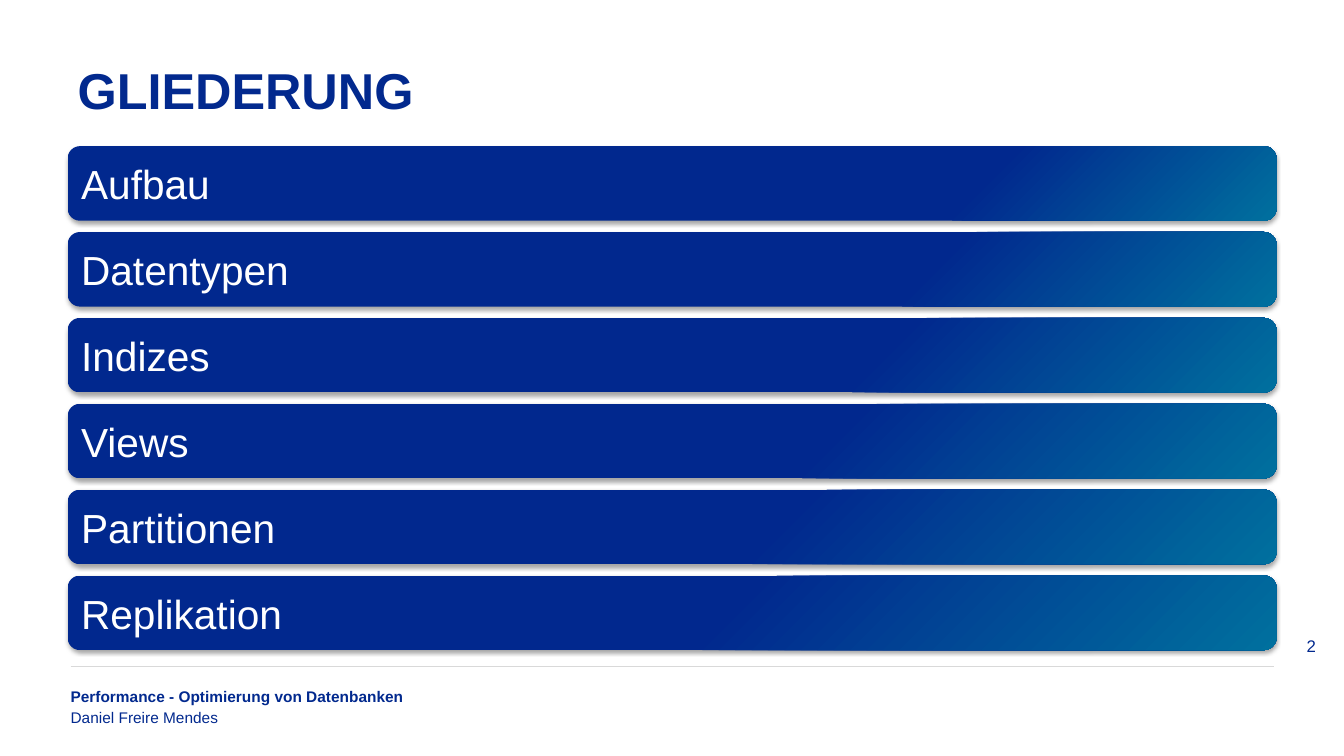
from pptx import Presentation, util as u
from pptx.dml.color import RGBColor
from pptx.enum import shapes, text
from pptx.oxml import ns, parse_xml

NAVY, BAR_NAVY, TEAL, WHITE, GREY = "02298E", "01288E", "00709E", "FFFFFF", "D9D9D9"
TOPICS = ["Aufbau", "Datentypen", "Indizes", "Views", "Partitionen", "Replikation"]


def rgb(value):
    return RGBColor.from_string(value)


def write(tf, words, size=11, color=NAVY, bold=False, align=text.PP_ALIGN.LEFT,
          anchor=text.MSO_ANCHOR.TOP, inset=None, spacing=None):
    """Put one formatted paragraph into a text frame."""
    tf.word_wrap = True
    tf.auto_size = text.MSO_AUTO_SIZE.NONE
    tf.vertical_anchor = anchor
    if inset is not None:
        tf.margin_left = tf.margin_right = u.Inches(inset)
        tf.margin_top = tf.margin_bottom = u.Inches(inset)
    p = tf.paragraphs[0]
    p.alignment = align
    if spacing:
        p.line_spacing = spacing
    r = p.add_run()
    r.text = words
    r.font.name = "Arial"
    r.font.size = u.Pt(size)
    r.font.bold = bold
    r.font.color.rgb = rgb(color)


def drawing(tag, attrs, inner=""):
    return parse_xml(f"<a:{tag} {ns.nsdecls('a')} {attrs}>{inner}</a:{tag}>")


class Deck:
    def __init__(self):
        self.prs = Presentation()
        self.prs.slide_width = u.Inches(13.33)
        self.prs.slide_height = u.Inches(7.5)
        self.s = self.prs.slides.add_slide(self.prs.slide_layouts[5])

    def title(self, words, x, y, w, h):
        sp = self.s.shapes.title
        sp.left, sp.top, sp.width, sp.height = map(u.Inches, (x, y, w, h))
        write(sp.text_frame, words, size=36, bold=True, spacing=0.9,
              anchor=text.MSO_ANCHOR.MIDDLE)

    def label(self, words, x, y, w, h, **style):
        sp = self.s.shapes.add_textbox(*map(u.Inches, (x, y, w, h)))
        write(sp.text_frame, words, **style)

    def rule(self, x1, y1, x2, y2):
        line = self.s.shapes.add_connector(
            shapes.MSO_CONNECTOR.STRAIGHT, *map(u.Inches, (x1, y1, x2, y2)))
        line.line.color.rgb = rgb(GREY)
        line.line.width = u.Pt(0.25)
        line._element.spPr.append(drawing("effectLst", ""))

    def bar(self, words, x, y, w, h, navy_from):
        sp = self.s.shapes.add_shape(
            shapes.MSO_SHAPE.ROUNDED_RECTANGLE, *map(u.Inches, (x, y, w, h)))
        sp.line.fill.background()
        # Radial gradient spreading from the bottom right corner
        sp.fill.gradient()
        for stop, color, position in zip(sp.fill.gradient_stops, (TEAL, BAR_NAVY), (0, navy_from)):
            stop.color.rgb = rgb(color)
            stop.position = position
        spPr = sp._element.spPr
        lin = spPr.find(".//" + ns.qn("a:lin"))
        lin.getparent().replace(lin, drawing(
            "path", 'path="circle"', '<a:fillToRect l="100000" t="100000"/>'))
        # Soft shadow below the bar
        sp.shadow.inherit = False
        spPr.find(ns.qn("a:effectLst")).append(drawing(
            "outerShdw",
            f'blurRad="{u.Pt(3.1)}" dist="{u.Pt(1.8)}" dir="5400000" rotWithShape="0"',
            '<a:srgbClr val="000000"><a:alpha val="35000"/></a:srgbClr>'))
        write(sp.text_frame, words, size=29, color=WHITE, anchor=text.MSO_ANCHOR.MIDDLE)


def main():
    deck = Deck()

    # Footer
    deck.rule(0.7, 6.61, 12.64, 6.61)
    deck.label("Performance - Optimierung von Datenbanken", 0.7, 6.82, 8.5, 0.2,
               bold=True, inset=0)
    deck.label("Daniel Freire Mendes", 0.7, 7.02, 8.52, 0.19, inset=0)
    deck.label("2", 10.04, 6.21, 3.11, 0.4, size=12, color=BAR_NAVY,
               align=text.PP_ALIGN.RIGHT, anchor=text.MSO_ANCHOR.MIDDLE)

    # Title and agenda bars
    deck.title("GLIEDERUNG", 0.67, 0.4, 11.99, 1.05)
    for i, topic in enumerate(TOPICS):
        deck.bar(topic, 0.67, 1.45 + 0.852 * i, 11.99, 0.74, navy_from=0.26 + 0.04 * i)

    deck.prs.save("out.pptx")


if __name__ == "__main__":
    main()
